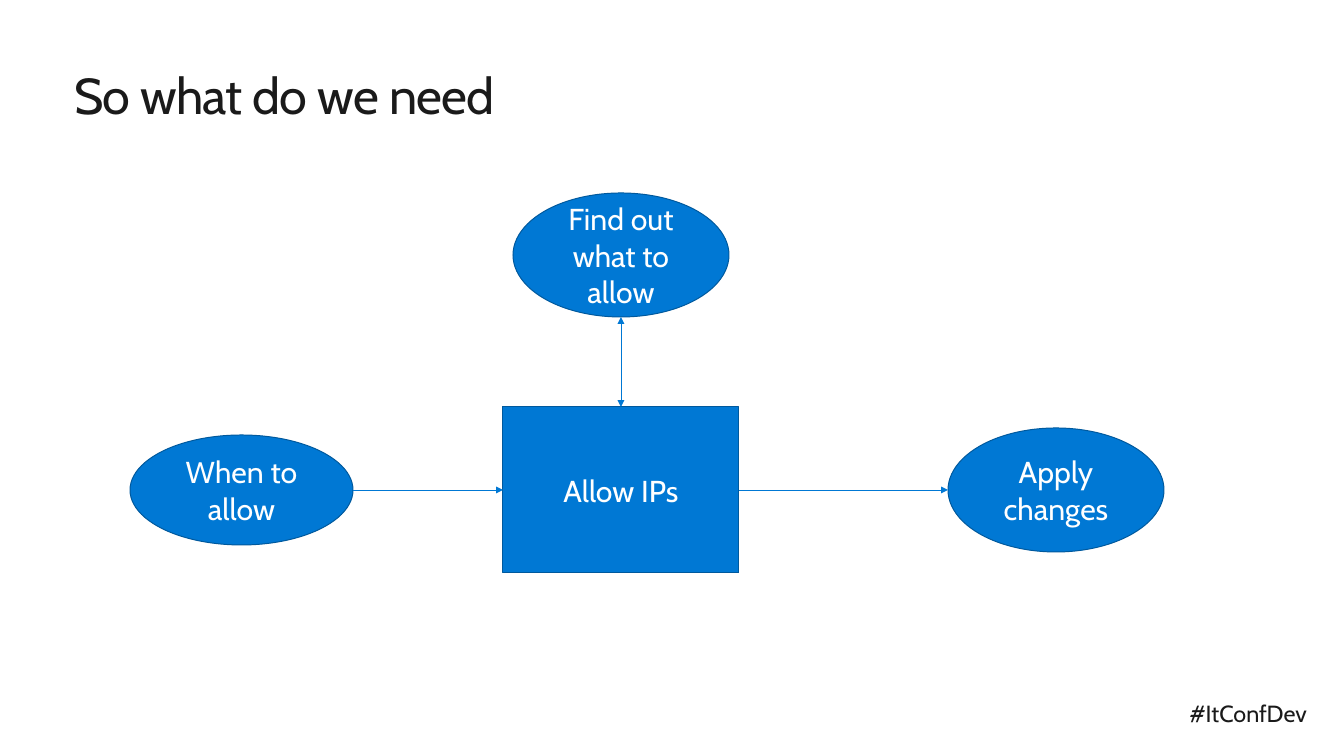
import pptx
import pptx.dml.color
import pptx.enum.shapes
import pptx.enum.text
import pptx.oxml
import pptx.oxml.ns
import pptx.util
from dataclasses import dataclass

PX = pptx.util.Inches(1) / 84
RECTANGLE = pptx.enum.shapes.MSO_SHAPE.RECTANGLE
OVAL = pptx.enum.shapes.MSO_SHAPE.OVAL
ALIGN = pptx.enum.text.PP_ALIGN
ANCHOR = pptx.enum.text.MSO_ANCHOR
TOP, LEFT, RIGHT = 0, 1, 3


@dataclass(frozen=True)
class Theme:
    font: str = "Cabin"
    ink: str = "1A1A1A"
    light: str = "FFFFFF"
    blue: str = "0078D4"
    outline: str = "00599D"
    title_size: float = 43.2
    node_size: float = 25.9
    tag_size: float = 20
    outline_width: float = 0.85
    arrow_width: float = 0.75


THEME = Theme()


def px(*lengths):
    return [pptx.util.Emu(round(length * PX)) for length in lengths]


def rgb(value):
    return pptx.dml.color.RGBColor.from_string(value)


def write(text_frame, text, size, color, align=ALIGN.LEFT):
    text_frame.text = text
    paragraph = text_frame.paragraphs[0]
    paragraph.alignment = align
    font = paragraph.runs[0].font
    font.name = THEME.font
    font.size = pptx.util.Pt(size)
    font.color.rgb = rgb(color)
    return paragraph


def add_title(slide, box, text):
    title = slide.shapes.title
    title.left, title.top, title.width, title.height = px(*box)
    frame = title.text_frame
    frame.margin_left = frame.margin_top = frame.margin_right = frame.margin_bottom = 0
    frame.vertical_anchor = ANCHOR.BOTTOM
    frame.word_wrap = True
    paragraph = write(frame, text, THEME.title_size, THEME.ink)
    paragraph.line_spacing = 0.9
    paragraph.runs[0].font._element.set("spc", "-60")


def add_hashtag(slide, box, text):
    frame = slide.shapes.add_textbox(*px(*box)).text_frame
    frame.word_wrap = False
    frame.auto_size = pptx.enum.text.MSO_AUTO_SIZE.SHAPE_TO_FIT_TEXT
    frame.margin_right = 0
    write(frame, text, THEME.tag_size, THEME.ink)


def add_node(slide, kind, center, size, text):
    left, top = (middle - length / 2 for middle, length in zip(center, size))
    shape = slide.shapes.add_shape(kind, *px(left, top, *size))
    shape.shadow.inherit = False
    shape.fill.solid()
    shape.fill.fore_color.rgb = rgb(THEME.blue)
    shape.line.color.rgb = rgb(THEME.outline)
    shape.line.width = pptx.util.Pt(THEME.outline_width)
    shape.text_frame.word_wrap = True
    shape.text_frame.vertical_anchor = ANCHOR.MIDDLE
    write(shape.text_frame, text, THEME.node_size, THEME.light, ALIGN.CENTER)
    return shape


def add_arrow(slide, start, end, heads=("tailEnd",)):
    connector = slide.shapes.add_connector(
        pptx.enum.shapes.MSO_CONNECTOR.STRAIGHT, *px(*start, *end))
    connector.line.color.rgb = rgb(THEME.blue)
    connector.line.width = pptx.util.Pt(THEME.arrow_width)
    line = connector.line._get_or_add_ln()
    for head in heads:
        line.append(pptx.oxml.parse_xml(
            f'<a:{head} {pptx.oxml.ns.nsdecls("a")} type="triangle"/>'))
    connector._element.spPr.append(pptx.oxml.parse_xml(
        f'<a:effectLst {pptx.oxml.ns.nsdecls("a")}/>'))
    return connector


def add_flow(slide, box):
    left, top, width, height = box
    hub_width, hub_height = 236, 166
    oval_width, oval_height = 216, 124
    trigger_width, trigger_height = 223, 110
    hub_x = left + 491
    row_y = top + height - hub_height / 2
    right = left + width

    # Steps
    hub = add_node(slide, RECTANGLE, (hub_x, row_y), (hub_width, hub_height), "Allow IPs")
    add_node(slide, OVAL, (hub_x, top + oval_height / 2), (oval_width, oval_height),
             "Find out what to allow")
    add_node(slide, OVAL, (right - oval_width / 2, row_y), (oval_width, oval_height),
             "Apply changes")
    add_node(slide, OVAL, (left + trigger_width / 2, row_y),
             (trigger_width, trigger_height), "When to allow")

    # Arrows between the hub and its neighbours
    incoming = add_arrow(slide, (left + trigger_width, row_y), (hub_x - hub_width / 2, row_y))
    incoming.end_connect(hub, LEFT)
    lookup = add_arrow(slide, (hub_x, top + oval_height), (hub_x, row_y - hub_height / 2),
                       ("headEnd", "tailEnd"))
    lookup.end_connect(hub, TOP)
    outgoing = add_arrow(slide, (hub_x + hub_width / 2, row_y), (right - oval_width, row_y))
    outgoing.begin_connect(hub, RIGHT)


def main():
    presentation = pptx.Presentation()
    presentation.slide_width, presentation.slide_height = px(1344, 756)
    slide = presentation.slides.add_slide(presentation.slide_layouts[5])
    add_hashtag(slide, (1181, 695, 146, 37), "#ItConfDev")
    add_title(slide, (74, 70, 531, 55), "So what do we need")
    add_flow(slide, (130, 193, 1034, 380))
    presentation.save("out.pptx")


if __name__ == "__main__":
    main()
